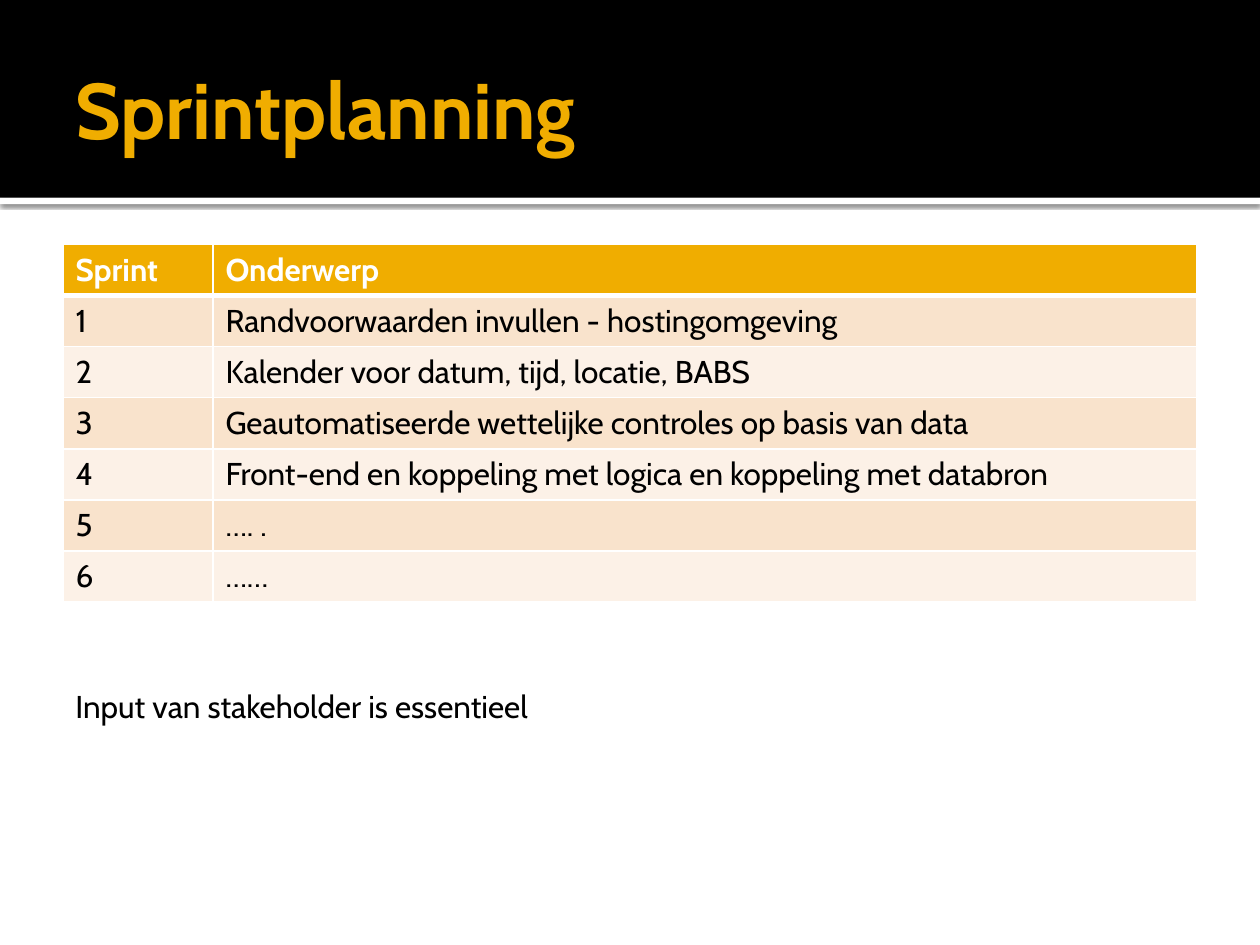
"""Build the sprint planning slide."""
from dataclasses import dataclass

from lxml import etree
from pptx import Presentation
from pptx.dml.color import RGBColor
from pptx.enum.shapes import MSO_SHAPE
from pptx.enum.text import MSO_ANCHOR
from pptx.oxml import parse_xml
from pptx.oxml.ns import nsdecls, qn
from pptx.util import Inches, Pt

FONT = "Cabin"
BLACK = RGBColor(0x00, 0x00, 0x00)
WHITE = RGBColor(0xFF, 0xFF, 0xFF)
GOLD = RGBColor(0xF0, 0xAD, 0x00)
PEACH = RGBColor(0xF9, 0xE3, 0xCC)
CREAM = RGBColor(0xFC, 0xF1, 0xE7)


@dataclass
class Box:
    left: float
    top: float
    width: float
    height: float

    def emu(self) -> tuple:
        return tuple(map(Inches, (self.left, self.top, self.width, self.height)))


@dataclass
class Sprint:
    number: str
    topic: str


HEADER = Sprint("Sprint", "Onderwerp")
SPRINTS = [
    Sprint("1", "Randvoorwaarden invullen - hostingomgeving"),
    Sprint("2", "Kalender voor datum, tijd, locatie, BABS"),
    Sprint("3", "Geautomatiseerde wettelijke controles op basis van data"),
    Sprint("4", "Front-end en koppeling met logica en koppeling met databron"),
    Sprint("5", "…. ."),
    Sprint("6", "……"),
]


def write(tf, text: str, size: float, color: RGBColor, bold: bool = False) -> None:
    tf.text = text
    font = tf.paragraphs[0].runs[0].font
    font.name, font.size, font.bold = FONT, Pt(size), bold
    font.color.rgb = color


def add_band(slide, box: Box, color: RGBColor):
    sp = slide.shapes.add_shape(MSO_SHAPE.RECTANGLE, *box.emu())
    sp.shadow.inherit = False
    sp.fill.solid()
    sp.fill.fore_color.rgb = color
    sp.line.fill.background()
    return sp


def add_shadow(sp) -> None:
    effects = sp._element.spPr.find(qn("a:effectLst"))
    effects.append(parse_xml(
        f'<a:outerShdw {nsdecls("a")} blurRad="{Pt(2.5)}" dist="{Pt(0.8)}" '
        'dir="5400000" algn="tl" rotWithShape="0"><a:srgbClr val="000000">'
        '<a:alpha val="60000"/></a:srgbClr></a:outerShdw>'))


def set_borders(cell, top: float, bottom: float) -> None:
    tc_pr = cell._tc.get_or_add_tcPr()
    widths = {"lnL": 1, "lnR": 1, "lnT": top, "lnB": bottom}
    for i, (side, width) in enumerate(widths.items()):
        ln = etree.Element(qn(f"a:{side}"), w=str(Pt(width)))
        fill = etree.SubElement(ln, qn("a:solidFill"))
        etree.SubElement(fill, qn("a:srgbClr"), val=str(WHITE))
        tc_pr.insert(i, ln)


def add_text(slide, box: Box, text: str, size: float, color: RGBColor, bold: bool = False):
    tf = slide.shapes.add_textbox(*box.emu()).text_frame
    tf.word_wrap = True
    write(tf, text, size, color, bold)
    return tf


def add_sprint_table(slide, box: Box) -> None:
    rows = [HEADER, *SPRINTS]
    table = slide.shapes.add_table(len(rows), 2, *box.emu()).table
    table.columns[0].width = Inches(1.19)
    table.columns[1].width = Inches(box.width - 1.19)
    for i, sprint in enumerate(rows):
        color = GOLD if i == 0 else PEACH if i % 2 else CREAM
        for cell, text in zip(table.rows[i].cells, (sprint.number, sprint.topic)):
            write(cell.text_frame, text, 18, BLACK if i else WHITE, i == 0)
            cell.fill.solid()
            cell.fill.fore_color.rgb = color
            set_borders(cell, 3 if i == 1 else 1, 1 if i else 3)


def main() -> None:
    prs = Presentation()
    prs.slide_width, prs.slide_height = Inches(10), Inches(7.5)
    slide = prs.slides.add_slide(prs.slide_layouts[6])
    add_shadow(add_band(slide, Box(0, 1.57, 10, 0.05), WHITE))
    add_band(slide, Box(0, 0, 10, 1.57), BLACK)
    title = add_text(slide, Box(0.5, 0.17, 9, 1.37), "Sprintplanning", 45, GOLD, True)
    title.vertical_anchor = MSO_ANCHOR.MIDDLE
    title.margin_right = Inches(0.05)
    add_sprint_table(slide, Box(0.5, 1.94, 9, 2.84))
    add_text(slide, Box(0.5, 5.4, 7.26, 0.4), "Input van stakeholder is essentieel", 18, BLACK)
    prs.save("out.pptx")


main()
